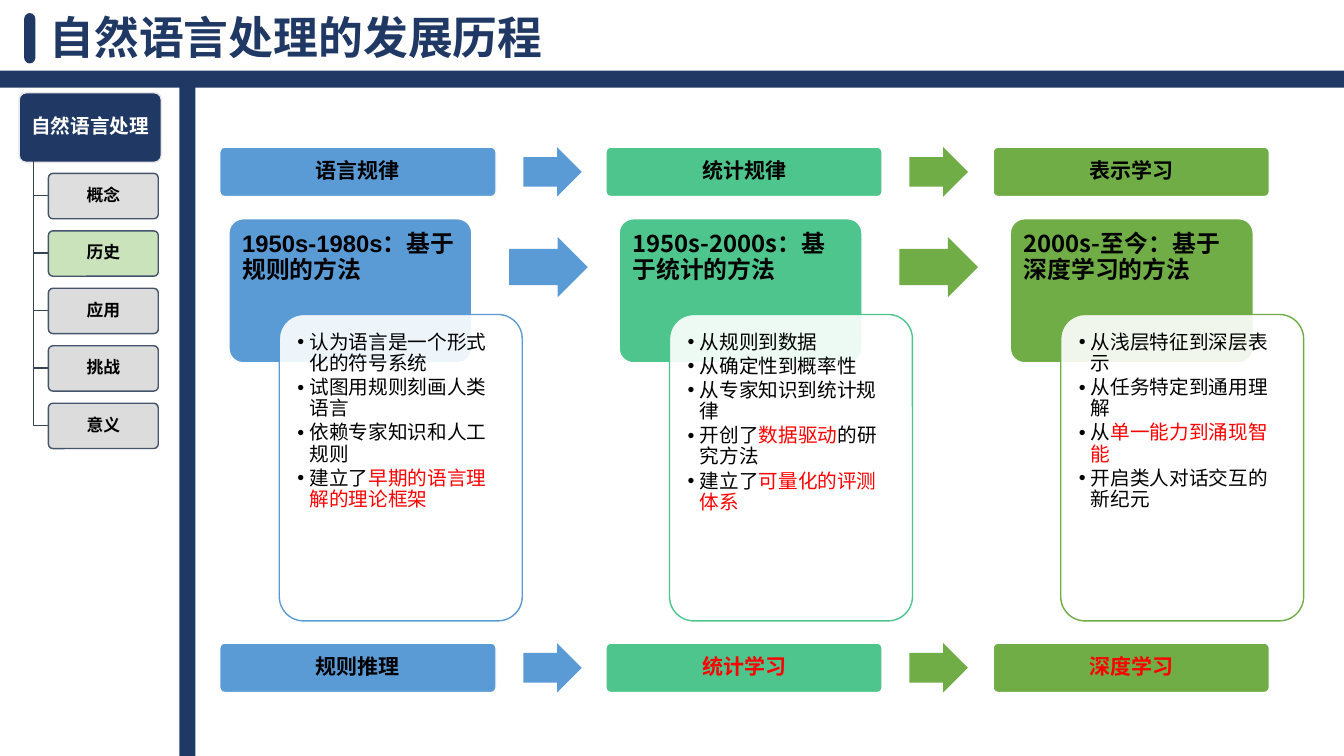
import pptx
import pptx.util
import pptx.dml.color
import pptx.enum.lang
import pptx.enum.shapes
import pptx.enum.text
import pptx.oxml
import pptx.oxml.ns
from dataclasses import dataclass

PX = 9144  # EMU per px, 100 px to the inch
NAVY, BLACK, WHITE, RED = "203864", "000000", "FFFFFF", "FF0000"
BLUE, TEAL, GREEN = "5B9BD5", "4DC58D", "70AD47"
HUES = [BLUE, TEAL, GREEN]
LINKS = [BLUE, GREEN]
HAN = "Noto Sans CJK SC"
FORMS = pptx.enum.shapes.MSO_SHAPE
ALIGN = pptx.enum.text.PP_ALIGN
ANCHOR = pptx.enum.text.MSO_ANCHOR


@dataclass
class Box:
    x: int
    y: int
    w: int
    h: int


@dataclass
class Style:
    size: int
    font: str = "Arial"
    hue: str = BLACK
    bold: bool = True


@dataclass
class Era:
    head: str
    font: str
    points: list[str]  # text between bars is red


@dataclass
class Row:
    y: int
    labels: list[str]
    inks: list[str]


ERAS = [
    Era("1950s-1980s：基于规则的方法", "Arial",
        ["认为语言是一个形式化的符号系统", "试图用规则刻画人类语言",
         "依赖专家知识和人工规则", "建立了|早期的语言理解的理论框架|"]),
    Era("1950s-2000s：基于统计的方法", HAN,
        ["从规则到数据", "从确定性到概率性", "从专家知识到统计规律",
         "开创了|数据驱动|的研究方法", "建立了|可量化的评测体系|"]),
    Era("2000s-至今：基于深度学习的方法", HAN,
        ["从浅层特征到深层表示", "从任务特定到通用理解",
         "从|单一能力到涌现智能|", "开启类人对话交互的新纪元"]),
]
ROWS = [
    Row(638, ["规则推理", "统计学习", "深度学习"], [BLACK, RED, RED]),
    Row(146, ["语言规律", "统计规律", "表示学习"], [BLACK] * 3),
]
TOPICS = [("概念", "DBDBDB"), ("历史", "C5E0B4"), ("应用", "D9D9D9"),
          ("挑战", "D9D9D9"), ("意义", "D9D9D9")]


def tint(item, hue: str, alpha: int = 100) -> None:
    """Give a fill or a line a solid colour."""
    fill = getattr(item, "fill", item)
    fill.solid()
    fill.fore_color.rgb = pptx.dml.color.RGBColor.from_string(hue)
    if alpha < 100:
        tone = fill._xPr.find(".//" + pptx.oxml.ns.qn("a:srgbClr"))
        tone.append(pptx.oxml.parse_xml(
            f'<a:alpha {pptx.oxml.ns.nsdecls("a")} val="{alpha * 1000}"/>'))


def shape(page, form, box: Box, hue: str, edge: str = "",
          adj: tuple = (), alpha: int = 100):
    item = page.shapes.add_shape(
        form, box.x * PX, box.y * PX, box.w * PX, box.h * PX)
    item.shadow.inherit = False
    for i, val in enumerate(adj):
        item.adjustments[i] = val
    tint(item.fill, hue, alpha)
    if edge:
        tint(item.line, edge)
        item.line.width = pptx.util.Pt(1)
    else:
        item.line.fill.background()
    return item


def card(page, box: Box, hue: str, edge: str, alpha: int = 100):
    return shape(page, FORMS.ROUNDED_RECTANGLE, box, hue, edge, (0.1,), alpha)


def arrow(page, box: Box, hue: str) -> None:
    shape(page, FORMS.RIGHT_ARROW, box, hue, adj=(0.6, 0.5))


def ink(run, style: Style) -> None:
    font = run.font
    font.size = pptx.util.Pt(style.size)
    font.bold = style.bold
    font.name = style.font
    font.language_id = pptx.enum.lang.MSO_LANGUAGE_ID.SIMPLIFIED_CHINESE
    tint(font.fill, style.hue)
    east = pptx.oxml.parse_xml(
        f'<a:ea {pptx.oxml.ns.nsdecls("a")} typeface="{HAN}"/>')
    run._r.get_or_add_rPr().find(pptx.oxml.ns.qn("a:latin")).addnext(east)


def frame(item, pad: int, anchor):
    text = item.text_frame
    text.word_wrap = True
    text.vertical_anchor = anchor
    text.margin_left = text.margin_right = pad * PX
    text.margin_top = text.margin_bottom = pad * PX
    return text


def label(item, words: str, style: Style, pad: int, align=ALIGN.CENTER,
          anchor=ANCHOR.MIDDLE, pitch: float = 0.9) -> None:
    text = frame(item, pad, anchor)
    text.text = words
    para = text.paragraphs[0]
    para.alignment = align
    para.line_spacing = pitch
    ink(para.runs[0], style)


def bullets(item, points: list[str], font: str) -> None:
    text = frame(item, 11, ANCHOR.TOP)
    for i, point in enumerate(points):
        para = text.add_paragraph() if i else text.paragraphs[0]
        prop = para._p.get_or_add_pPr()
        prop.set("marL", str(12 * PX))
        prop.set("indent", str(-12 * PX))
        for tag in ('buFont typeface="Arial"', 'buChar char="•"'):
            prop.append(pptx.oxml.parse_xml(
                f'<a:{tag} {pptx.oxml.ns.nsdecls("a")}/>'))
        para.alignment = ALIGN.LEFT
        para.line_spacing = 0.9
        para.space_after = pptx.util.Pt(2)
        for j, part in enumerate(point.split("|")):
            if part:
                run = para.add_run()
                run.text = part
                ink(run, Style(14, font, RED if j % 2 else BLACK, False))


def elbow(page, x: int, top: int, end: int, low: int) -> None:
    path = page.shapes.build_freeform(x * PX, top * PX)
    path.add_line_segments([(x * PX, low * PX), (end * PX, low * PX)],
                           close=False)
    item = path.convert_to_shape()
    item.shadow.inherit = False
    item.fill.background()
    tint(item.line, "364355")
    item.line.width = pptx.util.Pt(1)


def main() -> None:
    deck = pptx.Presentation()
    deck.slide_width, deck.slide_height = 1333 * PX, 750 * PX
    page = deck.slides.add_slide(deck.slide_layouts[5])

    # Frame bars and title
    shape(page, FORMS.RECTANGLE, Box(0, 70, 1333, 17), NAVY)
    shape(page, FORMS.RECTANGLE, Box(178, 75, 16, 675), NAVY)
    shape(page, FORMS.ROUNDED_RECTANGLE, Box(24, 13, 11, 50), NAVY, adj=(0.5,))
    title = page.shapes.title
    title.left, title.top = 39 * PX, 11 * PX
    title.width, title.height = 1150 * PX, 50 * PX
    label(title, "自然语言处理的发展历程", Style(32, hue=NAVY), 10,
          ALIGN.LEFT, pitch=1.0)
    title.text_frame.auto_size = pptx.enum.text.MSO_AUTO_SIZE.NONE

    # Eras
    for i, (era, hue) in enumerate(zip(ERAS, HUES)):
        x = 227 + 775 * i // 2
        head = card(page, Box(x, 217, 241, 143), hue, WHITE)
        label(head, era.head, Style(17, era.font), 9, ALIGN.LEFT, ANCHOR.TOP)
        body = card(page, Box(x + 50, 312, 241, 304), WHITE, hue, 90)
        bullets(body, era.points, era.font)
        if i < len(LINKS):
            arrow(page, Box(x + 278, 235, 78, 60), LINKS[i])

    # Topic tree
    root = card(page, Box(19, 92, 141, 69), NAVY, "E7E6E6")
    label(root, "自然语言处理", Style(14, hue=WHITE), 2)
    for i, (topic, hue) in enumerate(TOPICS):
        y = 172 + 57 * i
        elbow(page, 33, 160, 48, y + 22)
        leaf = card(page, Box(48, y, 109, 45), hue, "44546A", 90)
        label(leaf, topic, Style(12), 2)

    # Label rows
    for row in ROWS:
        for i, (words, tone) in enumerate(zip(row.labels, row.inks)):
            x = 218 + 767 * i // 2
            item = card(page, Box(x, row.y, 274, 49), HUES[i], WHITE)
            label(item, words, Style(15, hue=tone), 6)
            if i < len(LINKS):
                arrow(page, Box(x + 301, row.y, 58, 49), LINKS[i])

    deck.save("out.pptx")


if __name__ == "__main__":
    main()
